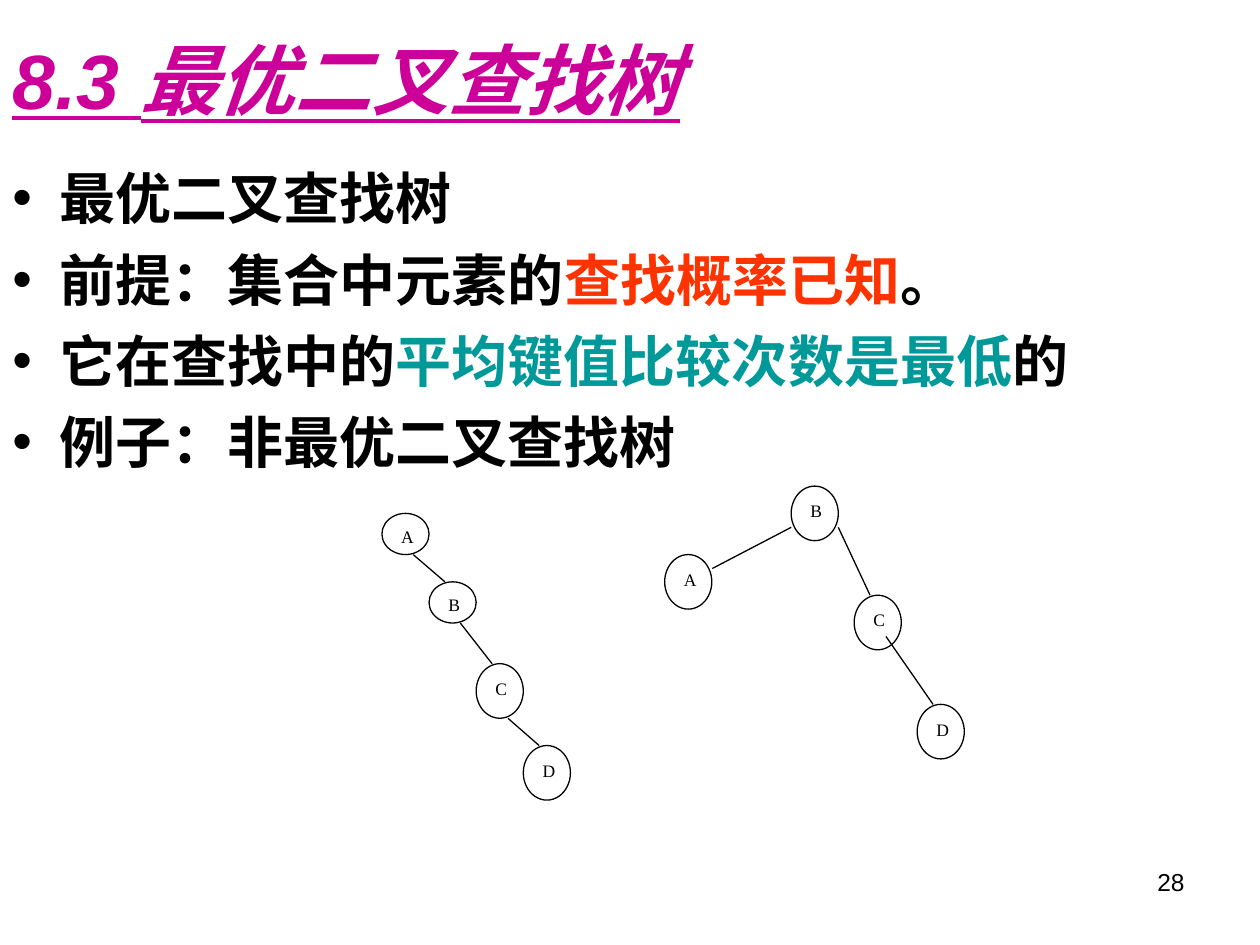
from lxml import etree
from pptx import Presentation
from pptx.dml.color import RGBColor
from pptx.enum import shapes, text
from pptx.oxml.ns import qn
from pptx.util import Cm, Pt

BLACK = RGBColor(0x00, 0x00, 0x00)
WHITE = RGBColor(0xFF, 0xFF, 0xFF)
MAGENTA = RGBColor(0xCC, 0x00, 0x99)
RED = RGBColor(0xFF, 0x33, 0x00)
TEAL = RGBColor(0x00, 0x99, 0x99)


def style_font(font, name, size, color, bold=False):
    font.name = name
    font.size = Pt(size)
    font.color.rgb = color
    font.bold = bold


def add_text_box(slide, left, top, width, height):
    shape = slide.shapes.add_textbox(Cm(left), Cm(top), Cm(width), Cm(height))
    shape.text_frame.word_wrap = True
    return shape.text_frame


presentation = Presentation()
presentation.slide_width = Cm(25.4)
presentation.slide_height = Cm(19.05)
slide = presentation.slides.add_slide(presentation.slide_layouts[6])

title = add_text_box(slide, 0, 0, 25.4, 3.18)
title.vertical_anchor = text.MSO_ANCHOR.MIDDLE
title.text = "8.3 最优二叉查找树"
title_font = title.paragraphs[0].runs[0].font
style_font(title_font, "Arial", 44, MAGENTA, bold=True)
title_font.italic = True
title_font.underline = True

bullets = [
    [("最优二叉查找树", BLACK)],
    [("前提：集合中元素的", BLACK), ("查找概率已知", RED), ("。", BLACK)],
    [("它在查找中的", BLACK), ("平均键值比较次数是最低", TEAL), ("的", BLACK)],
    [("例子：非最优二叉查找树", BLACK)],
]
body = add_text_box(slide, 0, 3.18, 25.4, 15.87)
for index, pieces in enumerate(bullets):
    paragraph = body.paragraphs[0] if index == 0 else body.add_paragraph()
    paragraph.space_before = Pt(8 if index else 0)
    properties = paragraph._p.get_or_add_pPr()
    properties.set("marL", str(Cm(0.95)))
    properties.set("indent", str(-Cm(0.95)))
    etree.SubElement(properties, qn("a:buFont")).set("typeface", "Arial")
    etree.SubElement(properties, qn("a:buChar")).set("char", "•")
    for wording, color in pieces:
        run = paragraph.add_run()
        run.text = wording
        style_font(run.font, "Arial", 32, color, bold=True)

node_width = 0.95
nodes = [
    ("A", 7.7, 10.35, 0.83),
    ("B", 8.65, 11.73, 0.83),
    ("C", 9.6, 13.38, 1.1),
    ("D", 10.55, 15.03, 1.1),
    ("A", 13.4, 11.18, 1.1),
    ("B", 15.95, 9.8, 1.1),
    ("C", 17.22, 12, 1.1),
    ("D", 18.49, 14.2, 1.1),
]
for key, left, top, height in nodes:
    node = slide.shapes.add_shape(
        shapes.MSO_SHAPE.OVAL, Cm(left), Cm(top), Cm(node_width), Cm(height)
    )
    node.shadow.inherit = False
    node.fill.solid()
    node.fill.fore_color.rgb = WHITE
    node.line.color.rgb = BLACK
    node.line.width = Pt(0.75)
    node.text_frame.vertical_anchor = text.MSO_ANCHOR.TOP
    node.text_frame.text = key
    paragraph = node.text_frame.paragraphs[0]
    paragraph.alignment = text.PP_ALIGN.JUSTIFY
    style_font(paragraph.runs[0].font, "Times New Roman", 10, BLACK)

edges = [
    (8.33, 11.18, 8.97, 11.73),
    (9.28, 12.56, 9.92, 13.38),
    (10.24, 14.48, 10.87, 15.03),
    (14.36, 11.46, 15.95, 10.63),
    (16.9, 10.63, 17.54, 12),
    (17.86, 12.83, 18.81, 14.2),
]
for edge in edges:
    connector = slide.shapes.add_connector(
        shapes.MSO_CONNECTOR.STRAIGHT, *[Cm(value) for value in edge]
    )
    connector.line.color.rgb = BLACK
    connector.line.width = Pt(0.75)
    etree.SubElement(connector._element.spPr, qn("a:effectLst"))

page_number = add_text_box(slide, 18.2, 17.35, 5.93, 1.32)
page_number.text = "28"
paragraph = page_number.paragraphs[0]
paragraph.alignment = text.PP_ALIGN.RIGHT
style_font(paragraph.runs[0].font, "Arial", 14, BLACK)

presentation.save("out.pptx")
